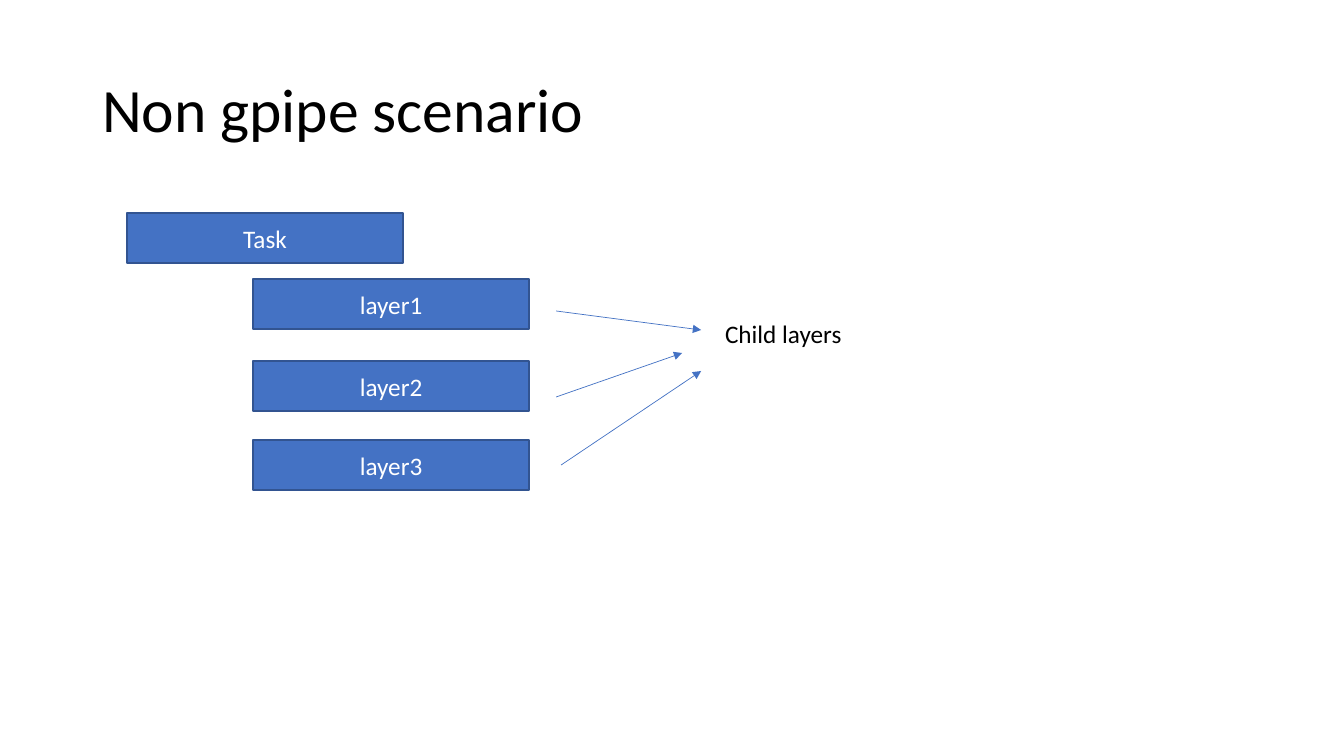
from lxml import etree
from pptx import Presentation, util as u
from pptx.dml.color import RGBColor
from pptx.enum import shapes, text
from pptx.oxml import ns

# Content, in pixels
TITLE = ("Non gpipe scenario", (92, 40, 1159, 146))
BOX_SIZE = (276, 50)
BOXES = [
    ("Task", 127, 213),
    ("layer1", 253, 279),
    ("layer2", 253, 361),
    ("layer3", 253, 440),
]
CHILD_LABEL = ("Child layers", (715, 313, 327, 40))
ARROWS = [
    ((556, 311), (701, 330)),
    ((556, 397), (682, 353)),
    ((561, 465), (701, 371)),
]
BLUE, BORDER, BLACK, WHITE = "4472C4", "325491", "000000", "FFFFFF"
BODY = {"name": "Calibri", "size": u.Pt(18)}
HEADING = {"name": "Calibri", "size": u.Pt(44)}
SCALE = u.Inches(1) / 100.8


def emu(*pixels):
    return [round(value * SCALE) for value in pixels]


def color(value):
    return RGBColor.from_string(value)


def write(shape, words, font_format, font_color, align, anchor):
    frame = shape.text_frame
    frame.word_wrap = True
    frame.vertical_anchor = anchor
    paragraph = frame.paragraphs[0]
    paragraph.alignment = align
    run = paragraph.add_run()
    run.text = words
    for name, value in font_format.items():
        setattr(run.font, name, value)
    run.font.color.rgb = color(font_color)
    return paragraph


presentation = Presentation()
presentation.slide_width = u.Inches(13.33)
presentation.slide_height = u.Inches(7.5)
slide = presentation.slides.add_slide(presentation.slide_layouts[5])

# Title
words, place = TITLE
title = slide.shapes.title
title.left, title.top, title.width, title.height = emu(*place)
paragraph = write(title, words, HEADING, BLACK,
                  text.PP_ALIGN.LEFT, text.MSO_ANCHOR.MIDDLE)
paragraph.line_spacing = 0.9

# Task and layer boxes
for words, left, top in BOXES:
    box = slide.shapes.add_shape(
        shapes.MSO_SHAPE.RECTANGLE, *emu(left, top, *BOX_SIZE))
    box.shadow.inherit = False
    box.fill.solid()
    box.fill.fore_color.rgb = color(BLUE)
    box.line.color.rgb = color(BORDER)
    box.line.width = u.Pt(1)
    write(box, words, BODY, WHITE,
          text.PP_ALIGN.CENTER, text.MSO_ANCHOR.MIDDLE)

# Label of the child layers
words, place = CHILD_LABEL
label = slide.shapes.add_textbox(*emu(*place))
write(label, words, BODY, BLACK, text.PP_ALIGN.LEFT, text.MSO_ANCHOR.TOP)
label.text_frame.auto_size = text.MSO_AUTO_SIZE.SHAPE_TO_FIT_TEXT

# Arrows from layers to label
for start, end in ARROWS:
    arrow = slide.shapes.add_connector(
        shapes.MSO_CONNECTOR.STRAIGHT, *emu(*start, *end))
    arrow.line.color.rgb = color(BLUE)
    arrow.line.width = u.Pt(0.5)
    etree.SubElement(arrow.line._get_or_add_ln(), ns.qn("a:tailEnd"),
                     type="triangle")
    etree.SubElement(arrow._element.spPr, ns.qn("a:effectLst"))

presentation.save("out.pptx")
